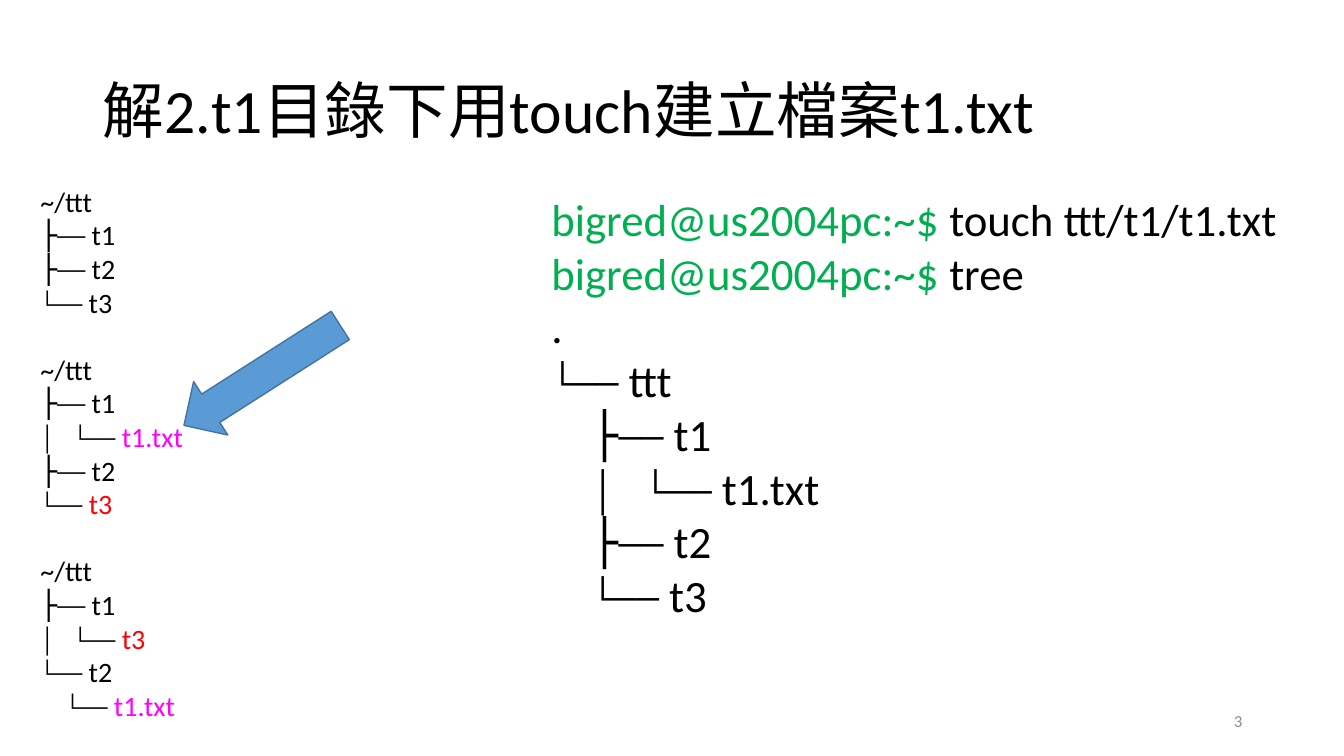
from pptx import Presentation
from pptx import util as u
from pptx.dml.color import RGBColor
from pptx.enum import shapes, text

COLOURS = {
    "black": "000000", "white": "FFFFFF", "grey": "8C8C8C",
    "prompt": "00B050", "file": "FF00FF", "moved": "FF0000",
    "arrow": "5B9BD5", "arrow_edge": "43739E",
}
PROMPT = ("bigred@us2004pc:~$ ", "prompt")

# Each line is a list of (text, colour) runs.
START_TREE = [
    [("~/ttt", "black")],
    [("├── t1", "black")],
    [("├── t2", "black")],
    [("└── t3", "black")],
]
FILE_TREE = [
    [("~/ttt", "black")],
    [("├── t1", "black")],
    [("│   └── ", "black"), ("t1.txt", "file")],
    [("├── t2", "black")],
    [("└── ", "black"), ("t3", "moved")],
]
MOVED_TREE = [
    [("~/ttt", "black")],
    [("├── t1", "black")],
    [("│   └── ", "black"), ("t3", "moved")],
    [("└── t2", "black")],
    [("└── ", "black"), ("t1.txt", "file")],
]
TERMINAL = [
    [PROMPT, ("touch ttt/t1/t1.txt", "black")],
    [PROMPT, ("tree", "black")],
    [(".", "black")],
    [("└── ttt", "black")],
    [("├── t1", "black")],
    [("│   └── t1.txt", "black")],
    [("├── t2", "black")],
    [("└── t3", "black")],
]


class SlideBuilder:
    font = "Calibri"
    scale = 9144  # EMU in one px, at 100 px to the inch

    def __init__(self, presentation):
        self.slide = presentation.slides.add_slide(presentation.slide_layouts[5])

    def px(self, *lengths):
        return [u.Emu(length * self.scale) for length in lengths]

    def colour(self, name):
        return RGBColor.from_string(COLOURS[name])

    def format_run(self, run, size, colour):
        run.font.name = self.font
        run.font.size = u.Pt(size)
        run.font.color.rgb = self.colour(colour)

    def title(self, wording, box, size):
        shape = self.slide.shapes.title
        shape.left, shape.top, shape.width, shape.height = self.px(*box)
        frame = shape.text_frame
        frame.text = wording
        frame.vertical_anchor = text.MSO_ANCHOR.MIDDLE
        paragraph = frame.paragraphs[0]
        paragraph.alignment = text.PP_ALIGN.LEFT
        paragraph.line_spacing = 0.9
        self.format_run(paragraph.runs[0], size, "black")

    def text_box(self, box):
        return self.slide.shapes.add_textbox(*self.px(*box))

    def shape(self, kind, box, fill, line, line_width):
        shape = self.slide.shapes.add_shape(kind, *self.px(*box))
        shape.shadow.inherit = False
        shape.fill.solid()
        shape.fill.fore_color.rgb = self.colour(fill)
        shape.line.color.rgb = self.colour(line)
        shape.line.width = u.Pt(line_width)
        return shape

    def lines(self, frame, blocks, size, gap=0, indents=None):
        """Write blocks of lines, gap points apart; indents maps line number to px."""
        for block_number, block in enumerate(blocks):
            for line_number, runs in enumerate(block):
                first = block_number == line_number == 0
                paragraph = frame.paragraphs[0] if first else frame.add_paragraph()
                paragraph.alignment = text.PP_ALIGN.LEFT
                if block_number and line_number == 0:
                    paragraph.space_before = u.Pt(gap)
                indent = (indents or {}).get((block_number, line_number))
                if indent:
                    paragraph._p.get_or_add_pPr().set("marL", str(indent * self.scale))
                for wording, colour in runs:
                    run = paragraph.add_run()
                    run.text = wording
                    self.format_run(run, size, colour)

    def slide_number(self, number, box):
        frame = self.text_box(box).text_frame
        frame.word_wrap = True
        frame.vertical_anchor = text.MSO_ANCHOR.MIDDLE
        frame.text = number
        paragraph = frame.paragraphs[0]
        paragraph.alignment = text.PP_ALIGN.RIGHT
        self.format_run(paragraph.runs[0], 12, "grey")

    def trees(self, box):
        frame = self.shape(shapes.MSO_SHAPE.RECTANGLE, box, "white", "white", 2).text_frame
        frame.word_wrap = True
        frame.vertical_anchor = text.MSO_ANCHOR.MIDDLE
        margin, = self.px(5)
        frame.margin_left = frame.margin_right = margin
        frame.margin_top = frame.margin_bottom = margin
        self.lines(frame, [START_TREE, FILE_TREE, MOVED_TREE], 20, 24, {(2, 4): 25})

    def terminal(self, box):
        frame = self.text_box(box).text_frame
        frame.word_wrap = False
        frame.auto_size = text.MSO_AUTO_SIZE.SHAPE_TO_FIT_TEXT
        inside_ttt = {(0, line): 40 for line in range(4, len(TERMINAL))}
        self.lines(frame, [TERMINAL], 32, indents=inside_ttt)

    def arrow(self, box, rotation):
        arrow = self.shape(shapes.MSO_SHAPE.LEFT_ARROW, box, "arrow", "arrow_edge", 1)
        arrow.adjustments[0] = 0.53
        arrow.rotation = rotation


def main():
    presentation = Presentation()
    presentation.slide_width = u.Inches(13.33)
    presentation.slide_height = u.Inches(7.5)
    builder = SlideBuilder(presentation)
    builder.title("解2.t1目錄下用touch建立檔案t1.txt", (92, 40, 1150, 145), 44)
    builder.slide_number("3", (942, 695, 300, 40))
    builder.trees((35, 175, 535, 549))
    builder.terminal((537, 185, 748, 495))
    builder.arrow((168, 341, 184, 63), 327.4)
    presentation.save("out.pptx")


if __name__ == "__main__":
    main()
